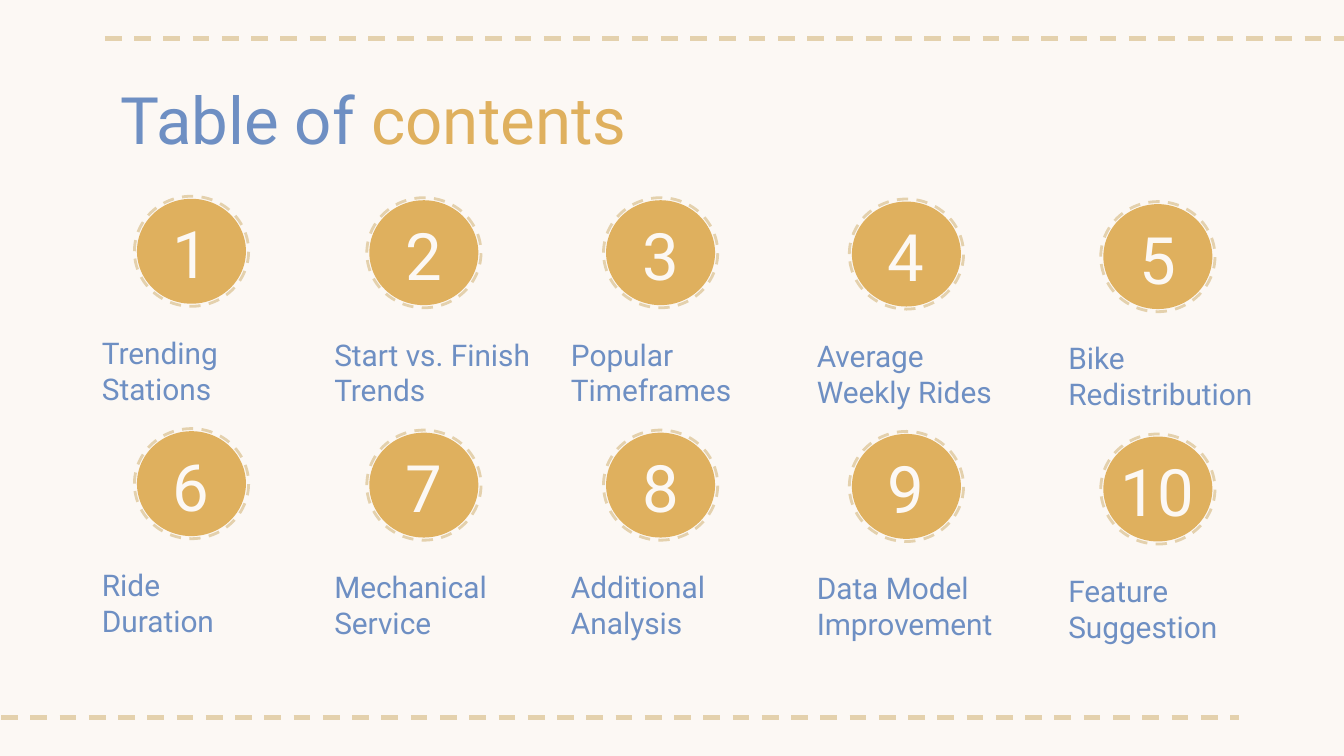
from dataclasses import dataclass

from pptx import Presentation
from pptx.dml.color import RGBColor as Rgb
from pptx.enum.dml import MSO_LINE as Dash
from pptx.enum.shapes import MSO_CONNECTOR as Link, MSO_SHAPE as Shape
from pptx.enum.text import MSO_ANCHOR as Anchor, PP_ALIGN as Align
from pptx.oxml.ns import qn
from pptx.util import Pt


@dataclass(frozen=True)
class Theme:
    paper: Rgb = Rgb.from_string("FCF8F4")
    blue: Rgb = Rgb.from_string("6E8FC3")
    gold: Rgb = Rgb.from_string("DFB05E")
    sand: Rgb = Rgb.from_string("E4D1AD")
    font: str = "Roboto"
    large: float = 35
    small: float = 16
    inset: float = 7.2


THEME = Theme()

# Left and top of each column of topics
COLS = [(47.5, 105.1), (172, 105.9), (298.8, 105.9), (430.5, 106.6), (565.2, 108)]
PITCH = 124.5
TOPICS = [
    ["Trending Stations"], ["Start vs. Finish Trends"], ["Popular Timeframes"],
    ["Average Weekly Rides"], ["Bike Redistribution"],
    ["Ride", "Duration"], ["Mechanical Service"], ["Additional Analysis"],
    ["Data Model Improvement"], ["Feature Suggestion"],
]


def apply(target, values):
    for name, value in values.items():
        setattr(target, name, value)


def add_text(shapes, box, paras, size, align=Align.LEFT, anchor=Anchor.TOP):
    """Each paragraph is a list of (text, colour) runs."""
    frame = shapes.add_textbox(*map(Pt, box)).text_frame
    sides = ("left", "top", "right", "bottom")
    apply(frame, {f"margin_{side}": Pt(THEME.inset) for side in sides})
    apply(frame, {"word_wrap": True, "vertical_anchor": anchor})
    for i, runs in enumerate(paras):
        para = frame.add_paragraph() if i else frame.paragraphs[0]
        para.alignment = align
        for text, color in runs:
            run = para.add_run()
            run.text = text
            apply(run.font, {"name": THEME.font, "size": Pt(size)})
            run.font.color.rgb = color


def style_line(line, width):
    line.color.rgb = THEME.sand
    apply(line, {"width": Pt(width), "dash_style": Dash.DASH})


def add_rule(shapes, left, top, width):
    ends = map(Pt, (left, top, left + width, top))
    rule = shapes.add_connector(Link.STRAIGHT, *ends)
    style_line(rule.line, 2.25)
    props = rule._element.spPr
    props.append(props.makeelement(qn("a:effectLst"), {}))


def add_oval(shapes, box):
    oval = shapes.add_shape(Shape.OVAL, *map(Pt, box))
    oval.shadow.inherit = False
    return oval


def add_title(shapes, left, top, width, height):
    runs = [("Table of ", THEME.blue), ("contents", THEME.gold)]
    add_text(shapes, (left, top, width, height), [runs], THEME.large)


def add_topic(shapes, left, top, number, lines):
    group = shapes.add_group_shape().shapes

    # Dashed ring around a solid disc
    ring = add_oval(group, (left + 24.5, top, 61.2, 59))
    ring.fill.background()
    style_line(ring.line, 1.5)
    disc = add_oval(group, (left + 25.9, top + 1.4, 58.4, 56.2))
    disc.fill.solid()
    disc.fill.fore_color.rgb = THEME.gold
    disc.line.fill.background()

    # Number and label
    add_text(group, (left + 26.9, top + 13.7, 56.2, 33.1),
             [[(str(number), THEME.paper)]], THEME.large, Align.CENTER, Anchor.MIDDLE)
    add_text(group, (left, top + 67, 123.1, 59),
             [[(line, THEME.blue)] for line in lines], THEME.small)


def main():
    deck = Presentation()
    apply(deck, {"slide_width": Pt(720), "slide_height": Pt(405)})
    slide = deck.slides.add_slide(deck.slide_layouts[6])
    back = slide.background.fill
    back.solid()
    back.fore_color.rgb = THEME.paper
    shapes = slide.shapes

    # Rules at the top and bottom
    for left, top in ((56.2, 20.6), (-15.1, 384.4)):
        add_rule(shapes, left, top, 679)

    add_title(shapes, 57.6, 35.3, 607, 45.4)

    # Two rows of topics
    for i, lines in enumerate(TOPICS):
        row, col = divmod(i, len(COLS))
        left, top = COLS[col]
        add_topic(shapes, left, top + row * PITCH, i + 1, lines)

    deck.save("out.pptx")


if __name__ == "__main__":
    main()
